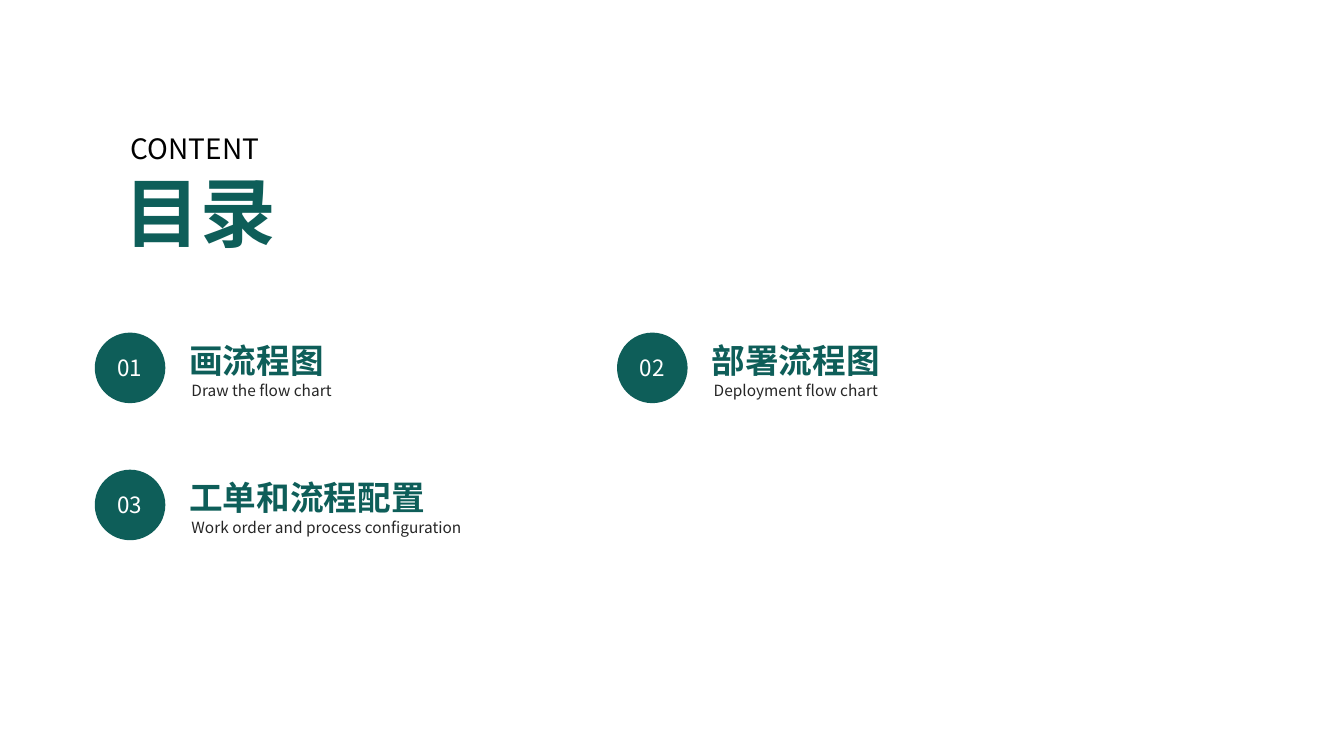
from dataclasses import dataclass

from lxml.etree import SubElement
from pptx import Presentation
from pptx.dml.color import RGBColor
from pptx.enum.shapes import MSO_SHAPE
from pptx.enum.text import MSO_ANCHOR, MSO_AUTO_SIZE, PP_ALIGN
from pptx.oxml.ns import qn
from pptx.util import Inches, Pt


@dataclass(frozen=True)
class Theme:
    font: str = "Noto Sans CJK SC"
    green: str = "0E5E59"
    black: str = "000000"
    gray: str = "262626"
    white: str = "FFFFFF"
    heading_size: int = 54
    label_size: int = 20
    title_size: int = 24
    number_size: int = 16
    subtitle_size: int = 11


THEME = Theme()

ENTRIES = [
    ("画流程图", "Draw the flow chart"),
    ("部署流程图", "Deployment flow chart"),
    ("工单和流程配置", "Work order and process configuration"),
]
COLUMNS = 2
GRID_LEFT, GRID_TOP = 0.94, 3.3
COLUMN_STEP, ROW_STEP = 5.18, 1.36
CIRCLE_SIZE = 0.7


def write(tf, text, size, color, align, bold=False):
    """Set one paragraph, with the font for both Latin and Chinese text."""
    tf.text = text
    p = tf.paragraphs[0]
    p.alignment = align
    r = p.runs[0]
    r.font.size = Pt(size)
    r.font.bold = bold
    r.font.name = THEME.font
    r.font.color.rgb = RGBColor.from_string(color)
    SubElement(r.font._element, qn("a:ea"), typeface=THEME.font)


def add_text(s, box, text, size, color, bold=False):
    tf = s.shapes.add_textbox(*map(Inches, box)).text_frame
    tf.word_wrap = True
    tf.auto_size = MSO_AUTO_SIZE.SHAPE_TO_FIT_TEXT
    write(tf, text, size, color, PP_ALIGN.JUSTIFY, bold)


def add_heading(s, left, top):
    add_text(s, (left, top + 0.34, 2.47, 1.01), "目录",
             THEME.heading_size, THEME.green, bold=True)
    add_text(s, (left + 0.06, top, 2.34, 0.44), "CONTENT",
             THEME.label_size, THEME.black)


def add_entry(s, left, top, number, title, subtitle):
    add_text(s, (left + 0.84, top + 0.02, 3.21, 0.5), title,
             THEME.title_size, THEME.green, bold=True)
    add_text(s, (left + 0.86, top + 0.43, 3.19, 0.28), subtitle,
             THEME.subtitle_size, THEME.gray)
    circle = s.shapes.add_shape(
        MSO_SHAPE.OVAL, *map(Inches, (left, top, CIRCLE_SIZE, CIRCLE_SIZE)))
    circle.shadow.inherit = False
    circle.fill.solid()
    circle.fill.fore_color.rgb = RGBColor.from_string(THEME.green)
    circle.line.fill.background()
    tf = circle.text_frame
    tf.vertical_anchor = MSO_ANCHOR.MIDDLE
    write(tf, f"{number:02}", THEME.number_size, THEME.white, PP_ALIGN.CENTER)


def add_contents_slide(prs):
    s = prs.slides.add_slide(prs.slide_layouts[6])
    add_heading(s, 1.14, 1.26)
    for i, (title, subtitle) in enumerate(ENTRIES):
        row, column = divmod(i, COLUMNS)
        add_entry(s, GRID_LEFT + column * COLUMN_STEP,
                  GRID_TOP + row * ROW_STEP, i + 1, title, subtitle)


def main():
    prs = Presentation()
    prs.slide_width, prs.slide_height = Inches(13.33), Inches(7.5)
    add_contents_slide(prs)
    prs.save("out.pptx")


if __name__ == "__main__":
    main()
